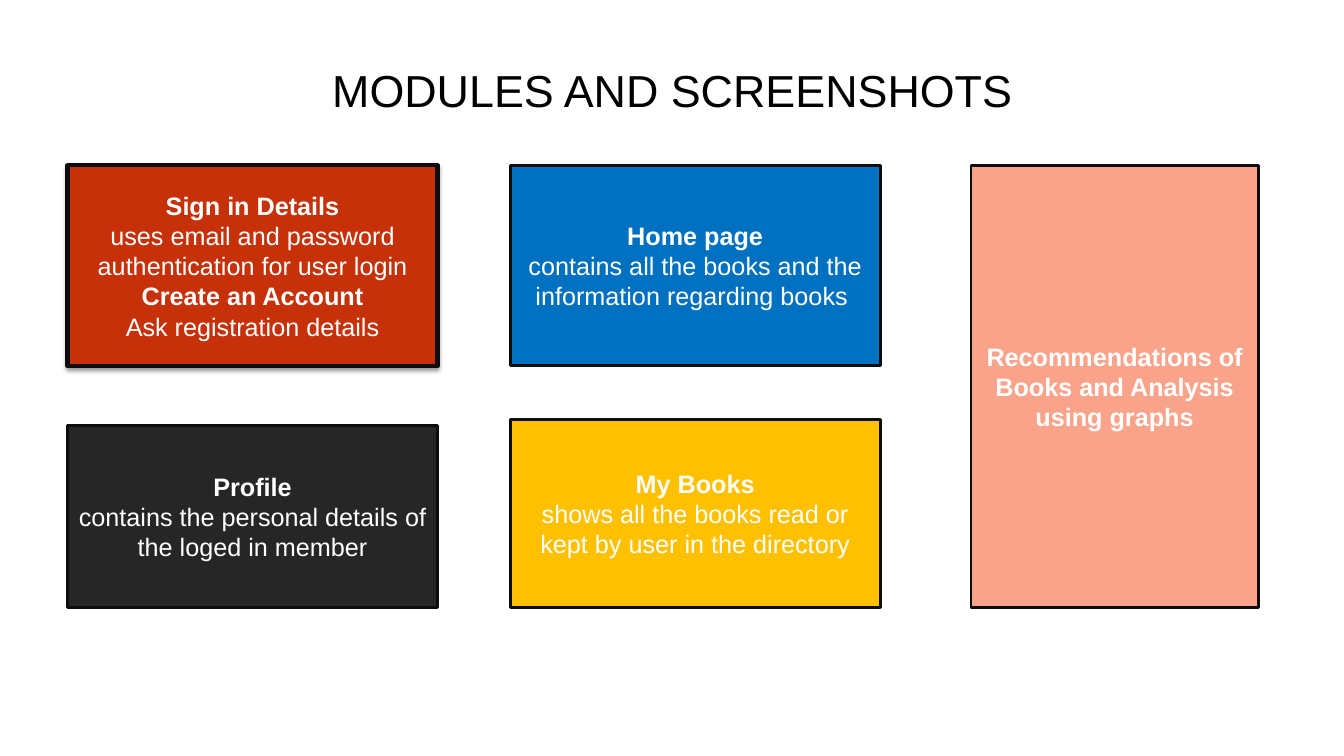
from dataclasses import dataclass

from lxml.etree import SubElement
from pptx import Presentation
from pptx.dml.color import RGBColor
from pptx.enum.shapes import MSO_SHAPE
from pptx.enum.text import MSO_ANCHOR, PP_ALIGN
from pptx.oxml.ns import qn
from pptx.util import Emu, Inches, Pt


@dataclass(frozen=True)
class Theme:
    font: str = "Arial"
    ink: str = "000000"
    light: str = "FFFFFF"
    edge: str = "0D0D0D"
    red: str = "C73109"
    dark: str = "262626"
    blue: str = "0070C0"
    gold: str = "FFC000"
    pink: str = "FAA38B"
    head: int = 32
    body: int = 18
    thin: int = 2
    thick: int = 3


THEME = Theme()
SIZE = (13.33, 7.5)
TITLE = "MODULES AND SCREENSHOTS"
TITLE_BOX = (0.67, 0.3, 12, 1.25)
COLS = [(0.67, 3.67), (5.06, 3.67), (9.63, 2.85)]
TOP, MID, BASE = 1.64, 3.63, 6.03

MODULES = [
    dict(col=0, top=TOP, base=MID, fill=THEME.red, raised=True, lines=[
        ("Sign in Details", True),
        ("uses email and password authentication for user login", False),
        ("Create an Account", True),
        ("Ask registration details", False),
    ]),
    dict(col=0, top=4.22, base=BASE, fill=THEME.dark, lines=[
        ("Profile", True),
        ("contains the personal details of the loged in member", False),
    ]),
    dict(col=1, top=TOP, base=MID, fill=THEME.blue, lines=[
        ("Home page", True),
        ("contains all the books and the information regarding books ", False),
    ]),
    dict(col=1, top=4.16, base=BASE, fill=THEME.gold, lines=[
        ("My Books", True),
        ("shows all the books read or kept by user in the directory", False),
    ]),
    dict(col=2, top=TOP, base=BASE, fill=THEME.pink, lines=[
        ("Recommendations of Books and Analysis using graphs", True),
    ]),
]


def write(frame, lines, size, color, inset=None, space=None):
    frame.word_wrap = True
    frame.vertical_anchor = MSO_ANCHOR.MIDDLE
    if inset is not None:
        frame.margin_left = frame.margin_right = Inches(inset)
        frame.margin_top = frame.margin_bottom = Inches(inset)
    for i, (text, bold) in enumerate(lines):
        para = frame.add_paragraph() if i else frame.paragraphs[0]
        para.alignment = PP_ALIGN.CENTER
        if space:
            para.line_spacing = space
        run = para.add_run()
        run.text = text
        font = run.font
        font.name, font.size, font.bold = THEME.font, Pt(size), bold
        font.color.rgb = RGBColor.from_string(color)


def raise_box(shape):
    effects = shape.element.spPr.find(qn("a:effectLst"))
    shade = SubElement(effects, qn("a:outerShdw"), blurRad=str(Pt(3.1)),
                       dist=str(Pt(1.6)), dir="5400000", rotWithShape="0")
    color = SubElement(shade, qn("a:srgbClr"), val=THEME.ink)
    SubElement(color, qn("a:alpha"), val="38000")


def add_module(slide, col, top, base, fill, lines, raised=False):
    left, width = COLS[col]
    box = [Inches(v) for v in (left, top, width, base - top)]
    shape = slide.shapes.add_shape(MSO_SHAPE.RECTANGLE, *box)
    shape.shadow.inherit = False
    shape.fill.solid()
    shape.fill.fore_color.rgb = RGBColor.from_string(fill)
    shape.line.color.rgb = RGBColor.from_string(THEME.edge)
    shape.line.width = Pt(THEME.thick if raised else THEME.thin)
    if raised:
        raise_box(shape)
    write(shape.text_frame, lines, THEME.body, THEME.light)


def main():
    deck = Presentation()
    deck.slide_width, deck.slide_height = [Emu(Inches(v)) for v in SIZE]
    slide = deck.slides.add_slide(deck.slide_layouts[6])
    title = slide.shapes.add_textbox(*[Inches(v) for v in TITLE_BOX])
    write(title.text_frame, [(TITLE, False)], THEME.head, THEME.ink,
          inset=0, space=0.9)
    for module in MODULES:
        add_module(slide, **module)
    deck.save("out.pptx")


if __name__ == "__main__":
    main()
